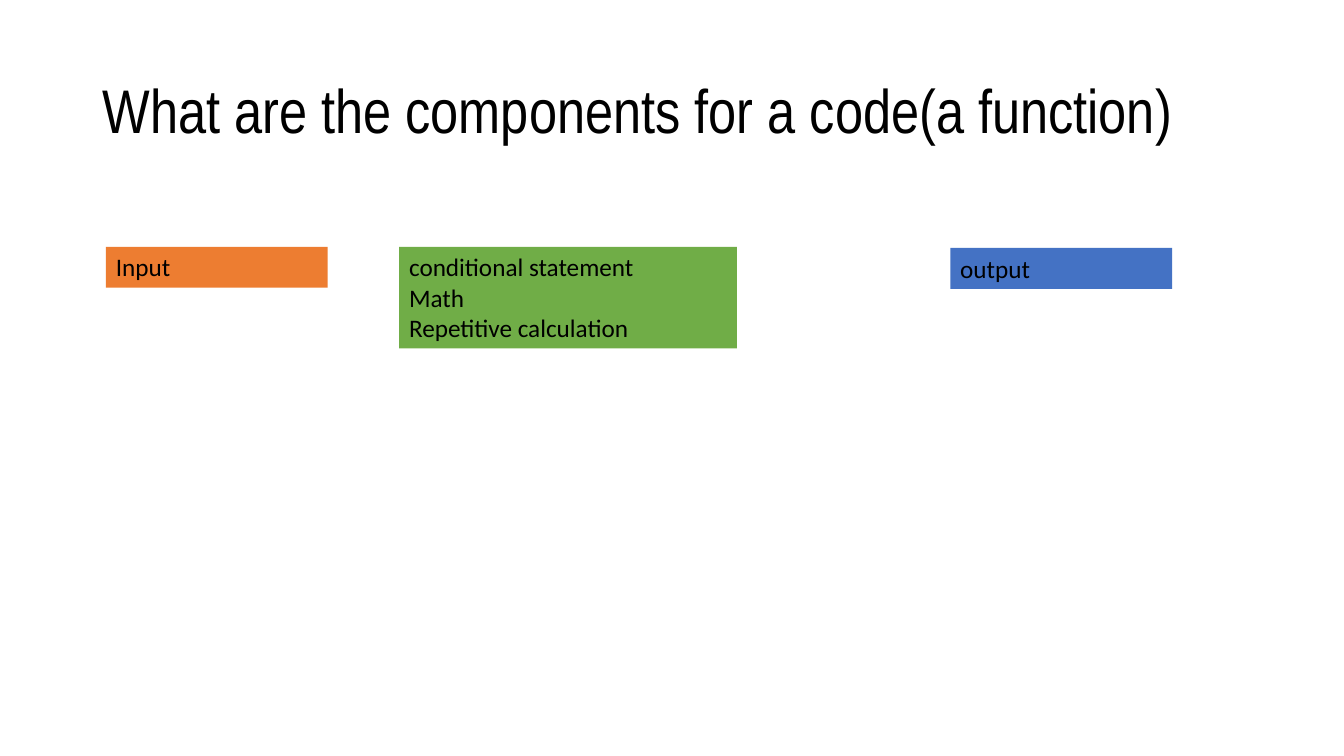
"""Build a slide naming the components of a function."""
from dataclasses import dataclass

from pptx import Presentation
from pptx.dml.color import RGBColor
from pptx.enum.text import MSO_ANCHOR, MSO_AUTO_SIZE, PP_ALIGN
from pptx.slide import Slide
from pptx.text.text import _Paragraph as Paragraph
from pptx.util import Cm, Pt

COLORS = {
    "text": "000000",
    "input": "ED7D31",
    "process": "70AD47",
    "output": "4472C4",
}


@dataclass(frozen=True)
class Component:
    """A filled box of text lines, measured in centimetres."""

    color: str
    left: float
    top: float
    width: float
    height: float
    lines: tuple[str, ...]


COMPONENTS = (
    Component("output", 23.95, 6.25, 5.59, 1.03, ("output",)),
    Component("input", 2.67, 6.22, 5.59, 1.03, ("Input",)),
    Component("process", 10.06, 6.22, 8.51, 2.56,
              ("conditional statement", "Math", "Repetitive calculation")),
)


def format_paragraph(paragraph: Paragraph, font_name: str, size: int) -> None:
    """Left-align a paragraph and set its font."""
    paragraph.alignment = PP_ALIGN.LEFT
    paragraph.font.name = font_name
    paragraph.font.size = Pt(size)
    paragraph.font.color.rgb = RGBColor.from_string(COLORS["text"])


def add_title(slide: Slide, text: str) -> None:
    """Place and format the title placeholder."""
    title = slide.shapes.title
    title.left, title.top = Cm(2.33), Cm(1.01)
    title.width, title.height = Cm(29.21), Cm(3.68)
    frame = title.text_frame
    frame.text = text
    frame.auto_size = MSO_AUTO_SIZE.NONE
    frame.vertical_anchor = MSO_ANCHOR.MIDDLE
    paragraph = frame.paragraphs[0]
    paragraph.line_spacing = 0.9
    format_paragraph(paragraph, "Arial Narrow", 44)


def add_component(slide: Slide, component: Component) -> None:
    """Draw one component as a filled text box."""
    shape = slide.shapes.add_textbox(
        Cm(component.left), Cm(component.top),
        Cm(component.width), Cm(component.height))
    shape.fill.solid()
    shape.fill.fore_color.rgb = RGBColor.from_string(COLORS[component.color])
    frame = shape.text_frame
    frame.word_wrap = True
    frame.auto_size = MSO_AUTO_SIZE.SHAPE_TO_FIT_TEXT
    frame.text = "\n".join(component.lines)
    for paragraph in frame.paragraphs:
        format_paragraph(paragraph, "Calibri", 18)


def main() -> None:
    """Create the presentation and save it."""
    presentation = Presentation()
    presentation.slide_width = Cm(33.87)
    presentation.slide_height = Cm(19.05)
    title_only = presentation.slide_layouts.get_by_name("Title Only")
    slide = presentation.slides.add_slide(title_only)
    add_title(slide, "What are the components for a code(a function)")
    for component in COMPONENTS:
        add_component(slide, component)
    presentation.save("out.pptx")


main()
